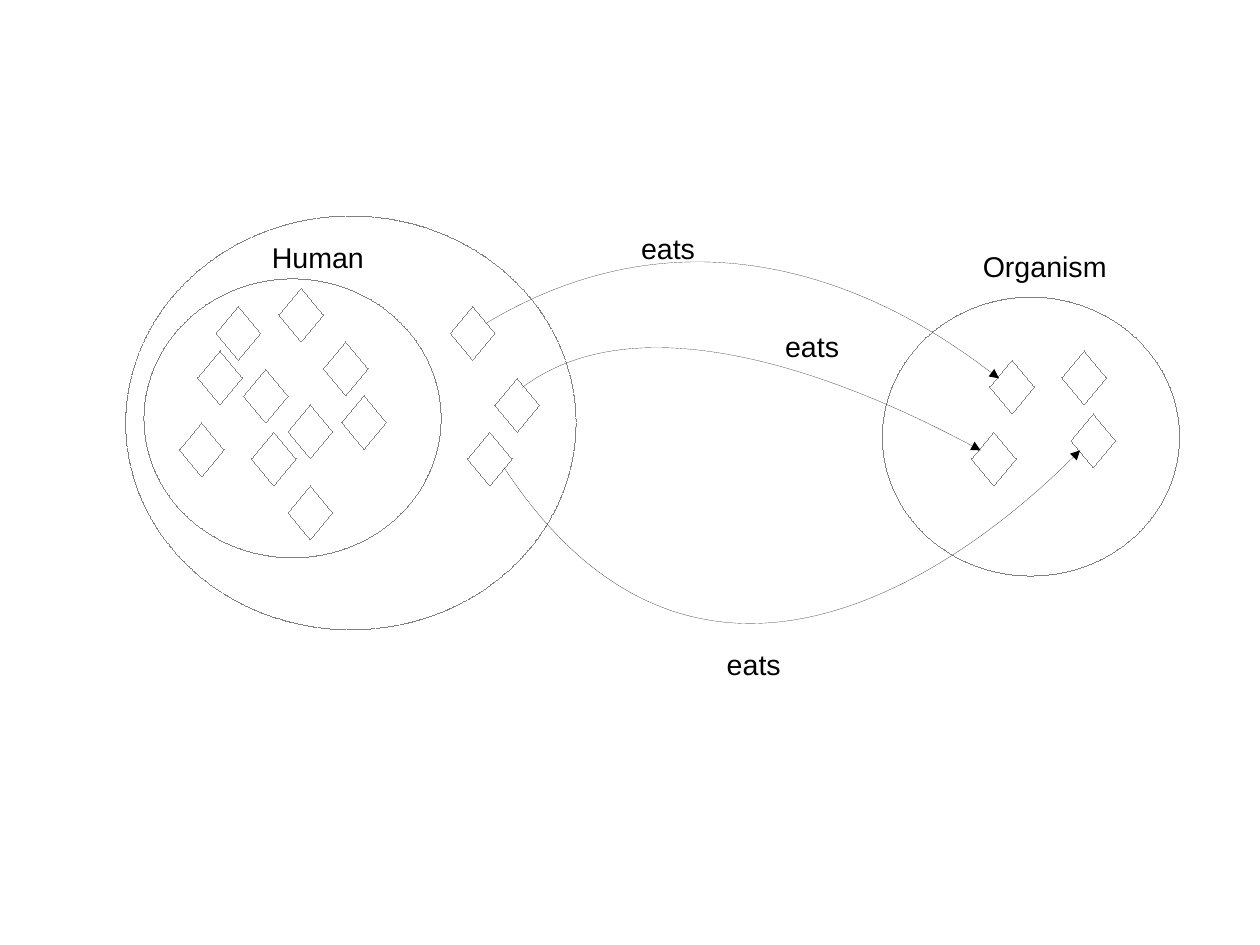
from pptx import Presentation
from pptx.dml.color import RGBColor
from pptx.enum.dml import MSO_LINE
from pptx.enum.shapes import MSO_SHAPE
from pptx.enum.text import MSO_ANCHOR, MSO_AUTO_SIZE
from pptx.oxml.ns import qn
from pptx.util import Inches, Pt
from lxml import etree

DIAMOND, OVAL = MSO_SHAPE.DIAMOND, MSO_SHAPE.OVAL
DASH = MSO_LINE.SQUARE_DOT
FIT, TOP = MSO_AUTO_SIZE.SHAPE_TO_FIT_TEXT, MSO_ANCHOR.TOP
COLORS = {"outline": "808080", "arrow": "000000", "text": "000000"}

# Content, in inches; the page is 28 by 21 cm
CM_PER_INCH = 2.54
PAGE = (28 / CM_PER_INCH, 21 / CM_PER_INCH)
DIAMOND_SIZE = (0.39, 0.47)
HUMANS = [(1.73, 3.07), (2.52, 4.25), (1.89, 2.68), (2.99, 3.46), (1.57, 3.7),
          (2.13, 3.23), (2.83, 2.99), (2.2, 3.78), (2.52, 3.54), (2.44, 2.52)]
ORGANISMS = [(9.29, 3.07), (9.37, 3.62), (8.5, 3.78), (8.66, 3.15)]
EATERS = [(3.94, 2.68), (4.09, 3.78), (4.33, 3.31)]
SETS = [  # left, top, width, height, dash
    (1.26, 2.44, 2.6, 2.44, None),
    (1.1, 1.89, 3.94, 3.62, DASH),
    (7.72, 2.6, 2.6, 2.44, None),
]
EATS_ARROWS = [  # start, control point, end
    ((4.25, 2.83), (6.46, 1.5), (8.74, 3.31)),
    ((4.57, 3.39), (5.83, 2.44), (8.58, 3.94)),
    ((4.41, 4.09), (6.38, 7.09), (9.45, 3.94)),
]
LABELS = [  # text, left, top, width
    ("Human", 2.28, 2.05, 1.03), ("Organism", 8.5, 2.13, 1.31),
    ("eats", 5.51, 1.97, 0.68), ("eats", 6.77, 2.83, 0.68),
    ("eats", 6.26, 5.61, 0.68),
]
CURVE_STEPS = 60

prs = Presentation()
prs.slide_width, prs.slide_height = (Inches(side) for side in PAGE)
s = prs.slides.add_slide(prs.slide_layouts[6])


def set_outline(sp, color, dash=None):
    """Unfilled shape with a hairline; returns the line element."""
    sp.shadow.inherit = False
    sp.fill.background()
    sp.line.color.rgb = RGBColor.from_string(COLORS[color])
    if dash:
        sp.line.dash_style = dash
    ln = sp.element.spPr.find(qn("a:ln"))
    ln.set("w", "0")
    return ln


def add_outline(kind, left, top, width, height, dash=None):
    sp = s.shapes.add_shape(kind, Inches(left), Inches(top),
                            Inches(width), Inches(height))
    set_outline(sp, "outline", dash)


def add_label(text, left, top, width, height=0.38, size=18, font="Arial",
              color="text"):
    tf = s.shapes.add_textbox(Inches(left), Inches(top),
                              Inches(width), Inches(height)).text_frame
    tf.word_wrap = False
    tf.auto_size = FIT
    tf.vertical_anchor = TOP
    r = tf.paragraphs[0].add_run()
    r.text = text
    r.font.size, r.font.name = Pt(size), font
    r.font.color.rgb = RGBColor.from_string(COLORS[color])


def curve_point(start, control, end, t):
    """Point on a cubic curve whose second control point is its end."""
    u = 1 - t
    return tuple(Inches(u**3 * a + 3 * u**2 * t * b + (3 * u * t**2 + t**3) * c)
                 for a, b, c in zip(start, control, end))


def add_curved_arrow(start, control, end):
    # Points along the curve give the shape its bounds
    points = [curve_point(start, control, end, i / CURVE_STEPS)
              for i in range(CURVE_STEPS + 1)]
    builder = s.shapes.build_freeform(*points[0])
    builder.add_line_segments(points[1:], close=False)
    sp = builder.convert_to_shape()

    # One cubic segment takes the place of the straight ones
    outline = next(sp.element.iter(qn("a:path")))
    for segment in outline.findall(qn("a:lnTo")):
        outline.remove(segment)
    cubic = etree.SubElement(outline, qn("a:cubicBezTo"))
    for x, y in (control, end, end):
        etree.SubElement(cubic, qn("a:pt"), x=str(Inches(x) - sp.left),
                         y=str(Inches(y) - sp.top))

    ln = set_outline(sp, "arrow")
    etree.SubElement(ln, qn("a:tailEnd"), type="triangle")


# Individuals
for left, top in HUMANS + ORGANISMS + EATERS:
    add_outline(DIAMOND, left, top, *DIAMOND_SIZE)

# Sets
for left, top, width, height, dash in SETS:
    add_outline(OVAL, left, top, width, height, dash)

# Relations
for start, control, end in EATS_ARROWS:
    add_curved_arrow(start, control, end)

# Labels
for text, left, top, width in LABELS:
    add_label(text, left, top, width)

prs.save("out.pptx")
